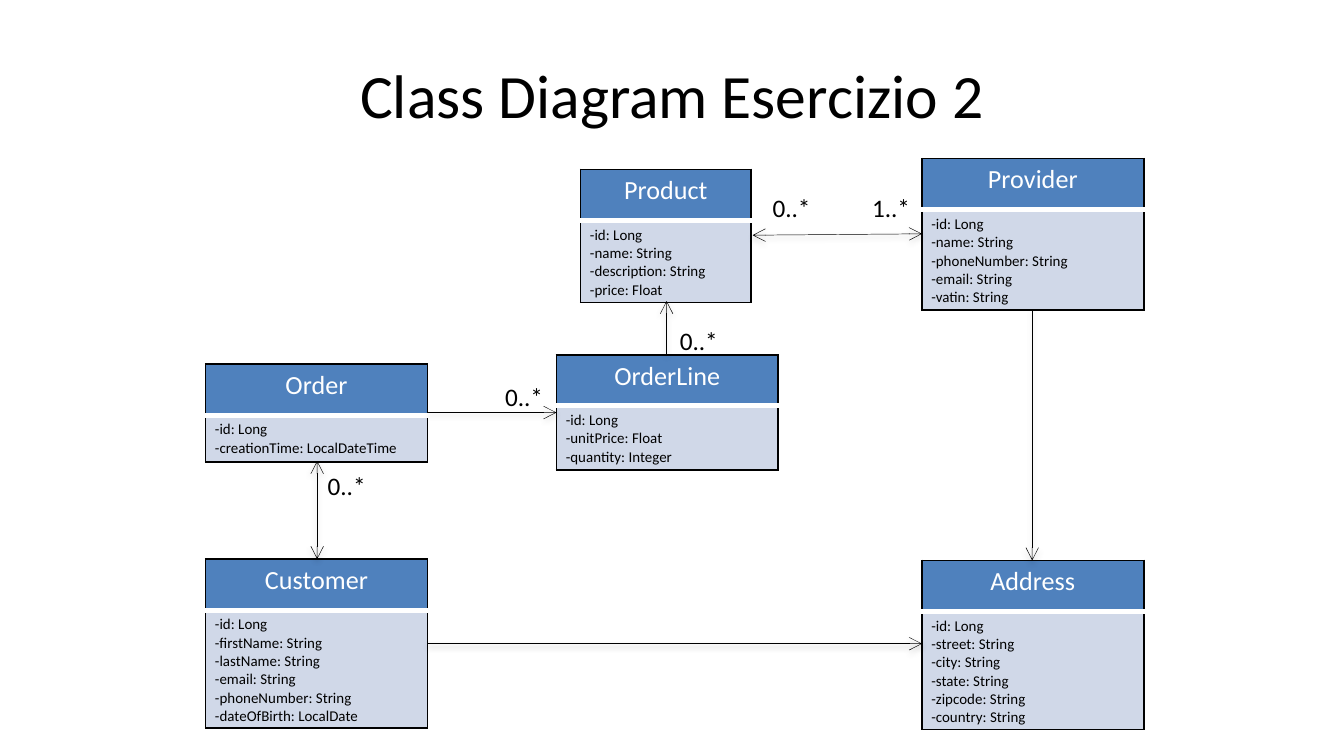
from lxml import etree
from pptx import Presentation
from pptx import util as u
from pptx.dml.color import RGBColor
from pptx.enum import shapes, text
from pptx.oxml import parse_xml
from pptx.oxml.ns import nsdecls, qn

PX = u.Inches(1) // 100
HEX = {"ink": "000000", "paper": "FFFFFF", "head": "4F81BD", "body": "D0D8E8"}
SHADOW = (f'<a:effectLst {nsdecls("a")}><a:outerShdw blurRad="39370" dist="20320" dir="5400000" rotWithShape="0">'
          f'<a:srgbClr val="{HEX["ink"]}"><a:alpha val="38000"/></a:srgbClr></a:outerShdw></a:effectLst>')

deck = Presentation()
deck.slide_width, deck.slide_height = u.Inches(10), u.Inches(5.625)
slide = deck.slides.add_slide(deck.slide_layouts[6])


def write(frame, lines, size=13.5, color="ink", align=text.PP_ALIGN.LEFT):
    for i, line in enumerate(lines):
        para = frame.paragraphs[0] if i == 0 else frame.add_paragraph()
        para.alignment = align
        run = para.add_run()
        run.text = line
        run.font.name, run.font.size = "Calibri", u.Pt(size)
        run.font.color.rgb = RGBColor.from_string(HEX[color])


def edge(cell, fill, top, low):
    """Fill a cell and give it black sides, with (colour, points) above and below."""
    cell.fill.solid()
    cell.fill.fore_color.rgb = RGBColor.from_string(HEX[fill])
    sides = {"L": ("ink", 1), "R": ("ink", 1), "T": top, "B": low}
    for i, (side, (color, width)) in enumerate(sides.items()):
        cell._tc.get_or_add_tcPr().insert(i, parse_xml(
            f'<a:ln{side} {nsdecls("a")} w="{u.Pt(width)}"><a:solidFill>'
            f'<a:srgbClr val="{HEX[color]}"/></a:solidFill></a:ln{side}>'))


# Title
title = slide.shapes.add_textbox(50 * PX, 23 * PX, 900 * PX, 94 * PX).text_frame
title.word_wrap = True
title.vertical_anchor = text.MSO_ANCHOR.MIDDLE
write(title, ["Class Diagram Esercizio 2"], size=33, align=text.PP_ALIGN.CENTER)

# Classes: name, left, top, width, fields
classes = [
    ("Product", 432, 126, 127, ["id: Long", "name: String", "description: String", "price: Float"]),
    ("Provider", 686, 118, 165, ["id: Long", "name: String", "phoneNumber: String", "email: String",
                                 "vatin: String"]),
    ("Order", 153, 271, 165, ["id: Long", "creationTime: LocalDateTime"]),
    ("OrderLine", 414, 264, 165, ["id: Long", "unitPrice: Float", "quantity: Integer"]),
    ("Customer", 153, 416, 165, ["id: Long", "firstName: String", "lastName: String", "email: String",
                                 "phoneNumber: String", "dateOfBirth: LocalDate"]),
    ("Address", 686, 417, 165, ["id: Long", "street: String", "city: String", "state: String",
                                "zipcode: String", "country: String"]),
]
for name, left, top, width, fields in classes:
    rows = [38, 8 + 13 * len(fields)]
    grid = slide.shapes.add_table(2, 1, left * PX, top * PX, width * PX, sum(rows) * PX).table
    grid.first_row = grid.horz_banding = False
    for row, high in zip(grid.rows, rows):
        row.height = high * PX
        cell = row.cells[0]
        cell.margin_left = cell.margin_right = 7 * PX
        cell.margin_top = cell.margin_bottom = 4 * PX
    head, body = grid.cell(0, 0), grid.cell(1, 0)
    edge(head, "head", ("ink", 1), ("paper", 3))
    edge(body, "body", ("paper", 1), ("ink", 1))
    write(head.text_frame, [name], size=14, color="paper", align=text.PP_ALIGN.CENTER)
    write(body.text_frame, ["-" + field for field in fields], size=8)

# Links: start, end, arrow at both ends
links = [
    (560, 175, 686, 174, True),
    (318, 307, 414, 307, False),
    (496, 264, 496, 224, False),
    (318, 479, 686, 479, False),
    (236, 416, 236, 343, True),
    (768, 230, 768, 417, False),
]
for *ends, both in links:
    link = slide.shapes.add_connector(shapes.MSO_CONNECTOR.STRAIGHT, *[n * PX for n in ends])
    link.line.color.rgb = RGBColor.from_string(HEX["ink"])
    link.line.width = u.Pt(0.25)
    line = link.line._get_or_add_ln()
    for tag in ["headEnd", "tailEnd"] if both else ["tailEnd"]:
        etree.SubElement(line, qn("a:" + tag), type="arrow")
    link._element.spPr.append(parse_xml(SHADOW))

# Multiplicities
for label, left, top in [("1..*", 639, 138), ("0..*", 565, 138), ("0..*", 366, 279),
                         ("0..*", 234, 345), ("0..*", 496, 237)]:
    frame = slide.shapes.add_textbox(left * PX, top * PX, 49 * PX, 33 * PX).text_frame
    frame.word_wrap = False
    frame.auto_size = text.MSO_AUTO_SIZE.SHAPE_TO_FIT_TEXT
    write(frame, [label])

deck.save("out.pptx")
